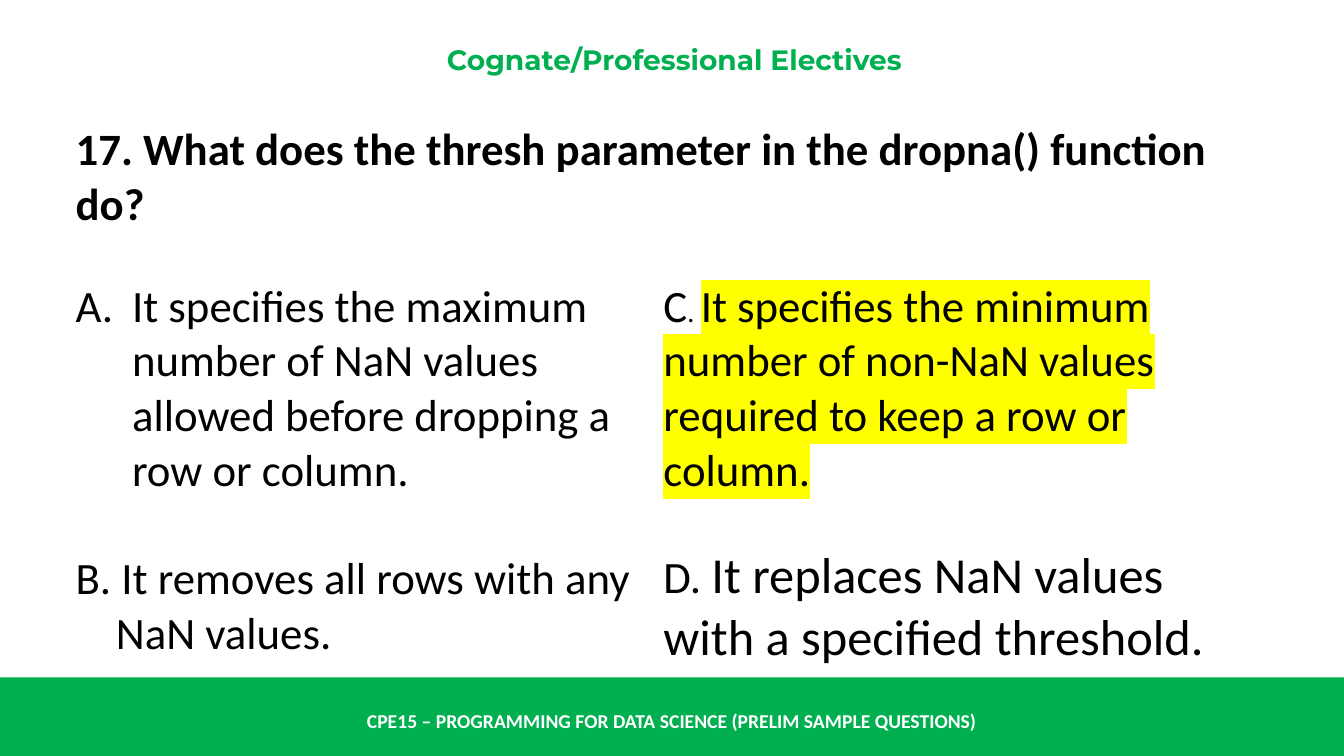
from lxml import etree
from pptx import Presentation
from pptx.dml.color import RGBColor
from pptx.enum.shapes import MSO_SHAPE
from pptx.enum.text import MSO_ANCHOR, PP_ALIGN
from pptx.oxml.ns import qn
from pptx.util import Inches, Pt

GREEN = RGBColor(0x00, 0xB0, 0x50)
WHITE = RGBColor(0xFF, 0xFF, 0xFF)
BLACK = RGBColor(0x00, 0x00, 0x00)
YELLOW = RGBColor(0xFF, 0xFF, 0x00)
RECTANGLE = MSO_SHAPE.RECTANGLE
MIDDLE = MSO_ANCHOR.MIDDLE
CENTER = PP_ALIGN.CENTER

SLIDE_WIDTH, SLIDE_HEIGHT = 13.33, 7.5
FOOTER_HEIGHT = 0.78
COLUMN_WIDTHS = (5.83, 6.11)
ROW_HEIGHTS = (1.19, 3.0, 1.32)
BODY_SIZE = 32


def style_font(font, size, color, name="Calibri", bold=False):
    font.size = Pt(size)
    font.name = name
    font.bold = bold
    font.color.rgb = color


def add_centered_line(slide, box, text, size, color, name):
    shape = slide.shapes.add_textbox(*map(Inches, box))
    frame = shape.text_frame
    frame.word_wrap = True
    frame.vertical_anchor = MIDDLE
    paragraph = frame.paragraphs[0]
    paragraph.text = text
    paragraph.alignment = CENTER
    style_font(paragraph.font, size, color, name, bold=True)


def add_header(slide, box):
    add_centered_line(slide, box, "Cognate/Professional Electives",
                      20, GREEN, "Montserrat")


def add_footer(slide, box):
    left, top, width, height = box
    band = slide.shapes.add_shape(RECTANGLE, *map(Inches, box))
    band.shadow.inherit = False
    band.fill.solid()
    band.fill.fore_color.rgb = GREEN
    band.line.fill.background()
    add_centered_line(
        slide, (left, top + 0.3 * height, width, 0.5 * height),
        "CPE15 – PROGRAMMING FOR DATA SCIENCE (PRELIM SAMPLE QUESTIONS)",
        14, WHITE, "Calibri")


def hang(paragraph, indent, numbering=None):
    """Indent all lines but the first, with an automatic number if given."""
    properties = paragraph._p.get_or_add_pPr()
    properties.set("marL", str(Inches(indent)))
    properties.set("indent", str(-Inches(indent)))
    if numbering:
        bullet = etree.SubElement(properties, qn("a:buAutoNum"))
        bullet.set("type", numbering)


def highlight(run, color):
    run.font.color.rgb = BLACK
    mark = etree.Element(qn("a:highlight"))
    etree.SubElement(mark, qn("a:srgbClr")).set("val", str(color))
    run.font._element.find(qn("a:solidFill")).addnext(mark)


def fill_cell(cell, pieces, bold=False, indent=0, numbering=None):
    """Write (text, size, highlight colour) pieces as one paragraph."""
    cell.fill.solid()
    cell.fill.fore_color.rgb = WHITE
    cell.vertical_anchor = MIDDLE
    paragraph = cell.text_frame.paragraphs[0]
    if indent:
        hang(paragraph, indent, numbering)
    style_font(paragraph.font, BODY_SIZE, BLACK, bold=bold)
    for text, size, mark in pieces:
        run = paragraph.add_run()
        run.text = text
        run.font.size = Pt(size)
        if mark:
            highlight(run, mark)


def add_question(slide, left, top):
    frame = slide.shapes.add_table(
        len(ROW_HEIGHTS), len(COLUMN_WIDTHS), Inches(left), Inches(top),
        Inches(sum(COLUMN_WIDTHS)), Inches(sum(ROW_HEIGHTS)))
    table = frame.table
    table.first_row = False
    table.horz_banding = False
    for column, width in zip(table.columns, COLUMN_WIDTHS):
        column.width = Inches(width)
    for row, height in zip(table.rows, ROW_HEIGHTS):
        row.height = Inches(height)

    table.cell(0, 0).merge(table.cell(0, 1))
    fill_cell(table.cell(0, 0), [
        ("17. What does the thresh parameter in the dropna() function do?",
         BODY_SIZE, None)], bold=True)
    fill_cell(table.cell(1, 0), [
        ("It specifies the maximum number of NaN values allowed before "
         "dropping a row or column.", BODY_SIZE, None)],
        indent=0.56, numbering="alphaUcPeriod")
    fill_cell(table.cell(1, 1), [
        ("C", BODY_SIZE, None),
        (". ", 20, None),
        ("It specifies the minimum number of non-NaN values required to "
         "keep a row or column.", BODY_SIZE, YELLOW)])
    fill_cell(table.cell(2, 0), [
        ("B. It removes all rows with any NaN values.", BODY_SIZE, None)],
        indent=0.4)
    fill_cell(table.cell(2, 1), [
        ("D. ", BODY_SIZE, None),
        ("It replaces NaN values with a specified threshold.", 36, None)])


def main():
    presentation = Presentation()
    presentation.slide_width = Inches(SLIDE_WIDTH)
    presentation.slide_height = Inches(SLIDE_HEIGHT)
    slide = presentation.slides.add_slide(presentation.slide_layouts[6])
    add_footer(slide, (0, SLIDE_HEIGHT - FOOTER_HEIGHT,
                       SLIDE_WIDTH, FOOTER_HEIGHT))
    add_header(slide, (0.28, 0.42, 12.82, 0.34))
    add_question(slide, 0.65, 1.17)
    presentation.save("out.pptx")


if __name__ == "__main__":
    main()
